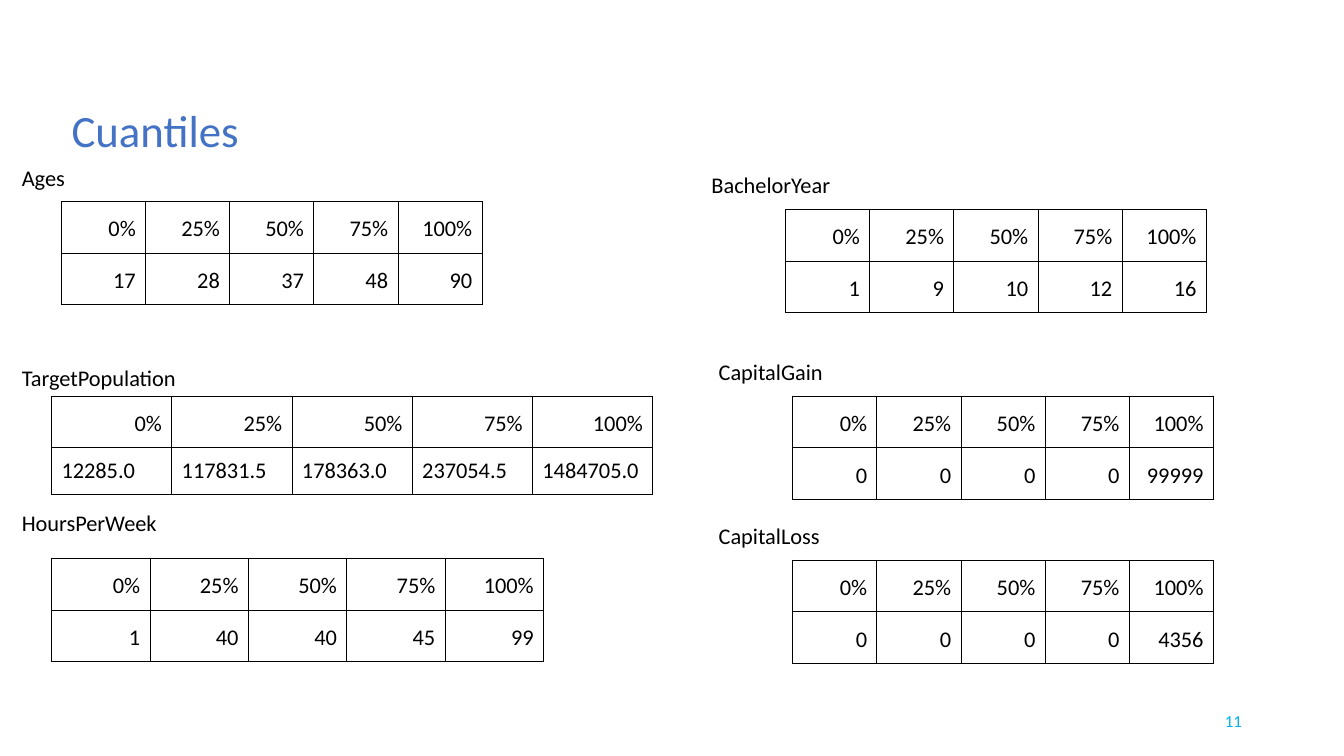
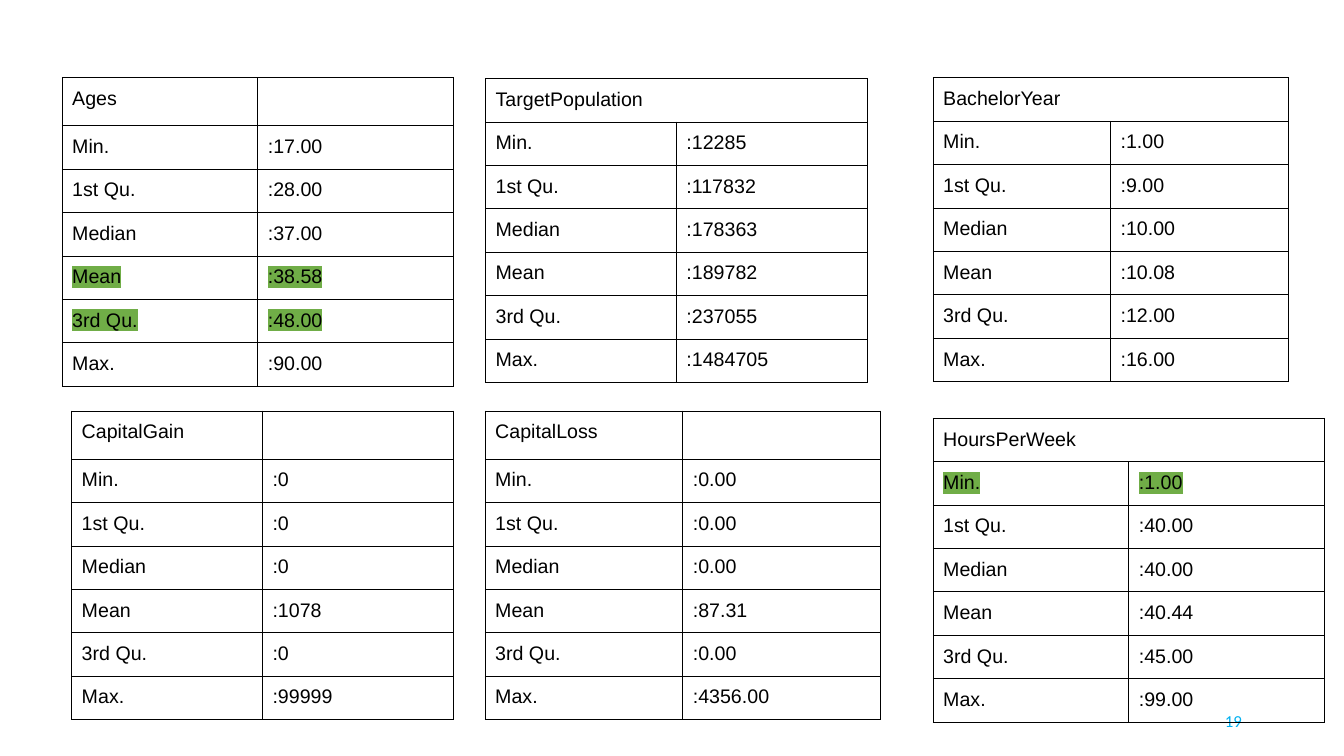
from lxml.etree import SubElement
from pptx import Presentation
from pptx.dml.color import RGBColor
from pptx.enum.text import MSO_ANCHOR, MSO_AUTO_SIZE, PP_ALIGN
from pptx.oxml.ns import qn
from pptx.util import Cm, Pt

BLACK = RGBColor(0x00, 0x00, 0x00)
BLUE = RGBColor(0x44, 0x72, 0xC4)
CYAN = RGBColor(0x00, 0xB0, 0xF0)
GREEN = RGBColor(0x70, 0xAD, 0x47)
PLAIN = "{2D5ABB26-0587-4C30-8999-92F81FD0307C}"  # table style without lines
PAD = Cm(0.25)
LABEL = 1.19  # height of a variable's name, in cm
ROW = 1.3
HEADS = ["0%", "25%", "50%", "75%", "100%"]
STATS = ["Min.", "1st Qu.", "Median", "Mean", "3rd Qu.", "Max."]

# name, label left and top, table left and top, column width, values
BOXED = [
    ("Ages", 0.3, 3.89, 1.55, 5.08, 2.12, ["17", "28", "37", "48", "90"]),
    ("TargetPopulation", 0.3, 8.92, 1.3, 9.98, 3.03,
     ["12285.0", "117831.5", "178363.0", "237054.5", "1484705.0"]),
    ("HoursPerWeek", 0.3, 12.57, 1.3, 14.07, 2.48,
     ["1", "40", "40", "45", "99"]),
]
# name, left, top, values
NAMED = [
    ("BachelorYear", 17.68, 4.09, ["1", "9", "10", "12", "16"]),
    ("CapitalGain", 17.86, 8.79, ["0", "0", "0", "0", "99999"]),
    ("CapitalLoss", 17.86, 12.93, ["0", "0", "0", "0", "4356"]),
]
# name, left, top, column width, row height, merged head, marked stats, values
SUMS = [
    ("Ages", 1.57, 1.96, 4.93, 1.08, False, ["Mean", "3rd Qu."],
     ["17.00", "28.00", "37.00", "38.58", "48.00", "90.00"]),
    ("TargetPopulation", 12.24, 1.98, 4.81, 1.06, True, [],
     ["12285", "117832", "178363", "189782", "237055", "1484705"]),
    ("BachelorYear", 23.52, 1.96, 4.47, 1.08, True, [],
     ["1.00", "9.00", "10.00", "10.08", "12.00", "16.00"]),
    ("CapitalGain", 1.81, 10.36, 4.81, 1.08, False, [],
     ["0", "0", "0", "1078", "0", "99999"]),
    ("CapitalLoss", 12.23, 10.36, 4.98, 1.08, False, [],
     ["0.00", "0.00", "0.00", "87.31", "0.00", "4356.00"]),
    ("HoursPerWeek", 23.52, 10.54, 4.93, 1.08, True, ["Min."],
     ["1.00", "40.00", "40.00", "40.44", "45.00", "99.00"]),
]


class Deck:
    def __init__(self):
        self.prs = Presentation()
        self.prs.slide_width, self.prs.slide_height = Cm(33.87), Cm(19.05)
        self.slide = None

    def start(self, number, title=None):
        layout = self.prs.slide_layouts[5 if title else 6]
        self.slide = self.prs.slides.add_slide(layout)
        if title:
            self.title(title)
        box = self.text(number, 23.93, 17.65, 7.62, 1.02, 12, CYAN)
        box.vertical_anchor = MSO_ANCHOR.MIDDLE
        box.margin_top = box.margin_bottom = Cm(0.13)
        box.paragraphs[0].alignment = PP_ALIGN.RIGHT

    def title(self, text):
        shape = self.slide.shapes.title
        shape.left, shape.top = Cm(1.55), Cm(2.62)
        shape.width, shape.height = Cm(14.71), Cm(1.47)
        frame = shape.text_frame
        frame.auto_size = MSO_AUTO_SIZE.NONE
        frame.vertical_anchor = MSO_ANCHOR.BOTTOM
        frame.text = text
        para = frame.paragraphs[0]
        para.alignment = PP_ALIGN.LEFT
        para.line_spacing = 0.9
        self.font(para, 32, BLUE)

    def font(self, para, size, color=BLACK, name="Calibri"):
        font = para.font
        font.size, font.name, font.color.rgb = Pt(size), name, color

    def text(self, text, left, top, width, height, size, color=BLACK):
        box = self.slide.shapes.add_textbox(
            Cm(left), Cm(top), Cm(width), Cm(height))
        frame = box.text_frame
        frame.word_wrap = True
        frame.margin_left = frame.margin_right = PAD
        frame.margin_top = frame.margin_bottom = PAD
        frame.text = text
        self.font(frame.paragraphs[0], size, color)
        return frame

    def table(self, left, top, width, heights, cols):
        """Add a table of equal columns without style; lengths are in cm."""
        frame = self.slide.shapes.add_table(
            len(heights), cols, Cm(left), Cm(top),
            Cm(width * cols), Cm(sum(heights)))
        table = frame.table
        table.first_row = table.horz_banding = False
        frame._element.find(".//" + qn("a:tableStyleId")).text = PLAIN
        for col in table.columns:
            col.width = Cm(width)
        for row, height in zip(table.rows, heights):
            row.height = Cm(height)
        return table

    def cell(self, cell, text, size=16, name="Calibri", right=False,
             lined=True, marked=False):
        if lined:
            self.lines(cell)
        cell.fill.background()
        if not text:
            return
        cell.margin_left = cell.margin_right = PAD
        cell.margin_top = cell.margin_bottom = PAD
        para = cell.text_frame.paragraphs[0]
        run = para.add_run()
        run.text = text
        self.font(para, size, name=name)
        if right:
            para.alignment = PP_ALIGN.RIGHT
            para.line_spacing = 1.15
        if marked:
            mark = SubElement(run._r.get_or_add_rPr(), qn("a:highlight"))
            SubElement(mark, qn("a:srgbClr"), val=str(GREEN))

    def lines(self, cell):
        props = cell._tc.get_or_add_tcPr()
        for side in ("a:lnL", "a:lnR", "a:lnT", "a:lnB"):
            line = SubElement(props, qn(side), w=str(Pt(0.75)))
            fill = SubElement(line, qn("a:solidFill"))
            SubElement(fill, qn("a:srgbClr"), val=str(BLACK))

    def boxed(self, name, x, y, left, top, width, values):
        """Quantile table whose name stands in a text box."""
        wide = name == "TargetPopulation"
        heights = [ROW, LABEL if wide else ROW]
        table = self.table(left, top, width, heights, len(HEADS))
        for col, (head, value) in enumerate(zip(HEADS, values)):
            self.cell(table.cell(0, col), head, right=True)
            self.cell(table.cell(1, col), value, right=not wide)
        self.text(name, x, y, 8.33, LABEL, 16)

    def named(self, name, left, top, values):
        """Quantile table whose name stands in an unlined first row."""
        rows = [[name] + [""] * 5, [""] + HEADS, [""] + values]
        table = self.table(left, top, 2.12, [LABEL, ROW, ROW], 6)
        table.cell(0, 0).merge(table.cell(0, 1))
        for r, row in enumerate(rows):
            for c, text in enumerate(row):
                inner = r > 0 and c > 0
                self.cell(table.cell(r, c), text, right=inner, lined=inner)

    def summary(self, name, left, top, width, height, merged, marks, values):
        first = height if merged else 1.21
        heights = [first] + [height] * len(STATS)
        table = self.table(left, top, width, heights, 2)
        if merged:
            table.cell(0, 0).merge(table.cell(0, 1))
        rows = [(name, "")] + [(s, ":" + v) for s, v in zip(STATS, values)]
        for r, row in enumerate(rows):
            for c, text in enumerate(row):
                self.cell(table.cell(r, c), text, 14, "Arial",
                          marked=row[0] in marks)


def main():
    deck = Deck()
    deck.start("11", "Cuantiles")
    for item in BOXED:
        deck.boxed(*item)
    for item in NAMED:
        deck.named(*item)
    deck.start("19")
    for item in SUMS:
        deck.summary(*item)
    deck.prs.save("out.pptx")


if __name__ == "__main__":
    main()
